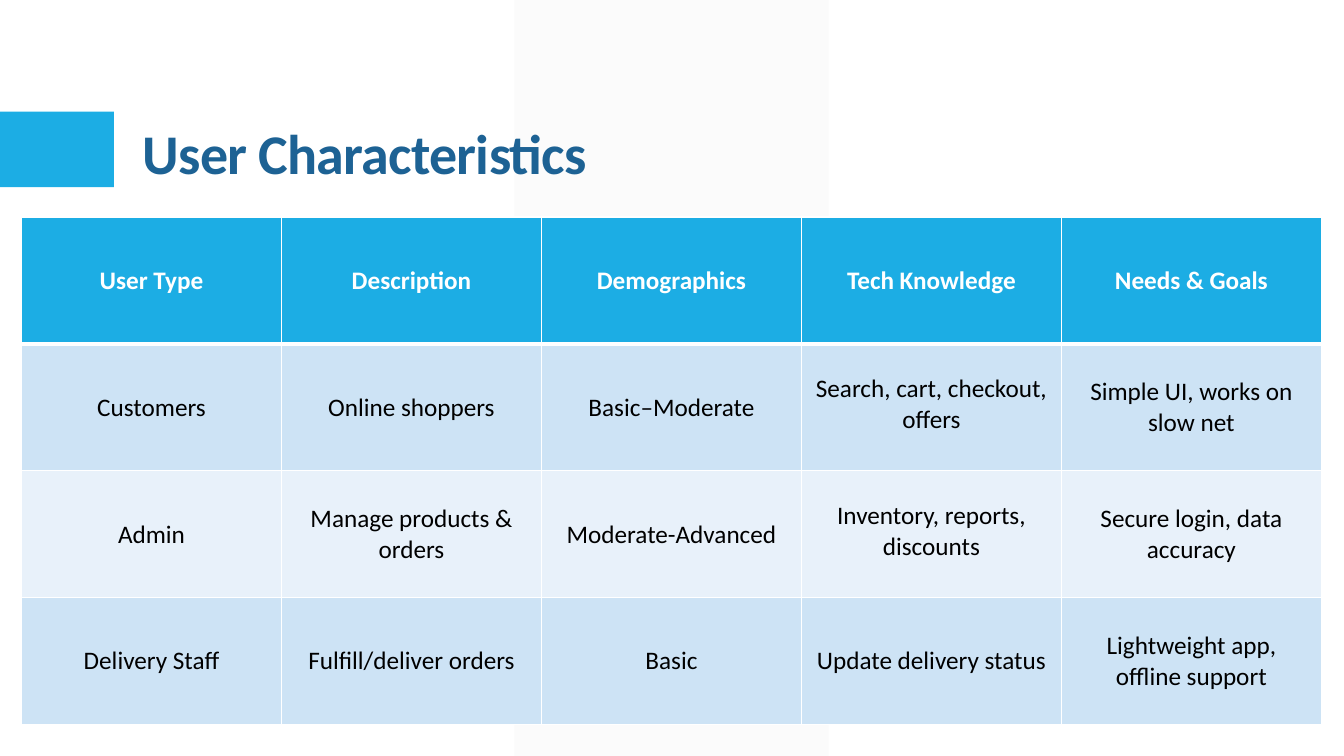
from pptx import Presentation
from pptx.dml.color import RGBColor
from pptx.enum.shapes import MSO_SHAPE as Shape
from pptx.enum.text import MSO_ANCHOR as Anchor, PP_ALIGN as Align
from pptx.oxml import parse_xml
from pptx.oxml.ns import nsdecls, qn
from pptx.util import Pt

# Content
TITLE = "User Characteristics"
ROWS = [
    ("User Type", "Description", "Demographics", "Tech Knowledge",
     "Needs & Goals"),
    ("Customers", "Online shoppers", "Basic–Moderate",
     "Search, cart, checkout, offers", "Simple UI, works on slow net"),
    ("Admin", "Manage products & orders", "Moderate-Advanced",
     "Inventory, reports, discounts", "Secure login, data accuracy"),
    ("Delivery Staff", "Fulfill/deliver orders", "Basic",
     "Update delivery status", "Lightweight app, offline support"),
]
LOW_CELLS = [(1, 3), (2, 3)]

# Style
FONT = "Calibri"
WHITE = RGBColor(0xFF, 0xFF, 0xFF)
BLACK = RGBColor(0, 0, 0)
GREY = RGBColor(0xF2, 0xF2, 0xF2)
CYAN = RGBColor(0x1C, 0xAD, 0xE4)
NAVY = RGBColor(0x1D, 0x62, 0x94)
BANDS = [RGBColor(0xE8, 0xF1, 0xFA), RGBColor(0xCD, 0xE3, 0xF5)]
COL_W, ROW_H = Pt(185.7), Pt(90.7)


def add_block(slide, left, top, width, height, color):
    block = slide.shapes.add_shape(
        Shape.RECTANGLE, Pt(left), Pt(top), Pt(width), Pt(height))
    block.shadow.inherit = False
    block.fill.solid()
    block.fill.fore_color.rgb = color
    block.line.fill.background()
    return block


def set_font(para, size, color, bold):
    font = para.font
    font.name, font.size, font.bold = FONT, Pt(size), bold
    font.color.rgb = color


def add_edges(cell, row):
    widths = {"L": 1, "R": 1, "T": 3 if row == 1 else 1,
              "B": 3 if row == 0 else 1}
    for side, width in widths.items():
        cell._tc.get_or_add_tcPr().append(parse_xml(
            f'<a:ln{side} {nsdecls("a")} w="{Pt(width)}"><a:solidFill>'
            f'<a:srgbClr val="{WHITE}"/></a:solidFill></a:ln{side}>'))


def fill_cell(cell, text, row, col):
    head = row == 0
    add_edges(cell, row)
    cell.fill.solid()
    cell.fill.fore_color.rgb = CYAN if head else BANDS[row % 2]
    cell.vertical_anchor = Anchor.MIDDLE
    if (row, col) in LOW_CELLS:
        cell.vertical_anchor = Anchor.BOTTOM
        cell.margin_bottom = Pt(25.5)
    cell.text = text
    para = cell.text_frame.paragraphs[0]
    para.alignment = Align.CENTER
    set_font(para, 18, WHITE if head else BLACK, head)


def main():
    deck = Presentation()
    deck.slide_width, deck.slide_height = Pt(960), Pt(540)
    slide = deck.slides.add_slide(deck.slide_layouts[6])

    # Backdrop band and accent
    band = add_block(slide, 367.5, 0, 224.5, 540, GREY)
    tint = band.fill._xPr.find(qn("a:solidFill"))[0]
    tint.append(parse_xml(f'<a:alpha {nsdecls("a")} val="30000"/>'))
    add_block(slide, 0, 79.7, 81.4, 54, CYAN)

    # Title
    box = slide.shapes.add_textbox(Pt(86.4), Pt(22.3), Pt(792), Pt(114.5))
    frame = box.text_frame
    frame.word_wrap = True
    frame.vertical_anchor = Anchor.BOTTOM
    frame.margin_left = Pt(15.7)
    para = frame.paragraphs[0]
    run = para.add_run()
    run.text = TITLE
    run._r.get_or_add_rPr().set("spc", "-50")
    para.line_spacing = 0.9
    set_font(para, 40, NAVY, True)

    # Table
    count = len(ROWS[0])
    table = slide.shapes.add_table(
        len(ROWS), count, Pt(15.4), Pt(155),
        COL_W * count, ROW_H * len(ROWS)).table
    for col in table.columns:
        col.width = COL_W
    for row, texts in enumerate(ROWS):
        table.rows[row].height = ROW_H
        for col, text in enumerate(texts):
            fill_cell(table.cell(row, col), text, row, col)

    deck.save("out.pptx")


if __name__ == "__main__":
    main()
